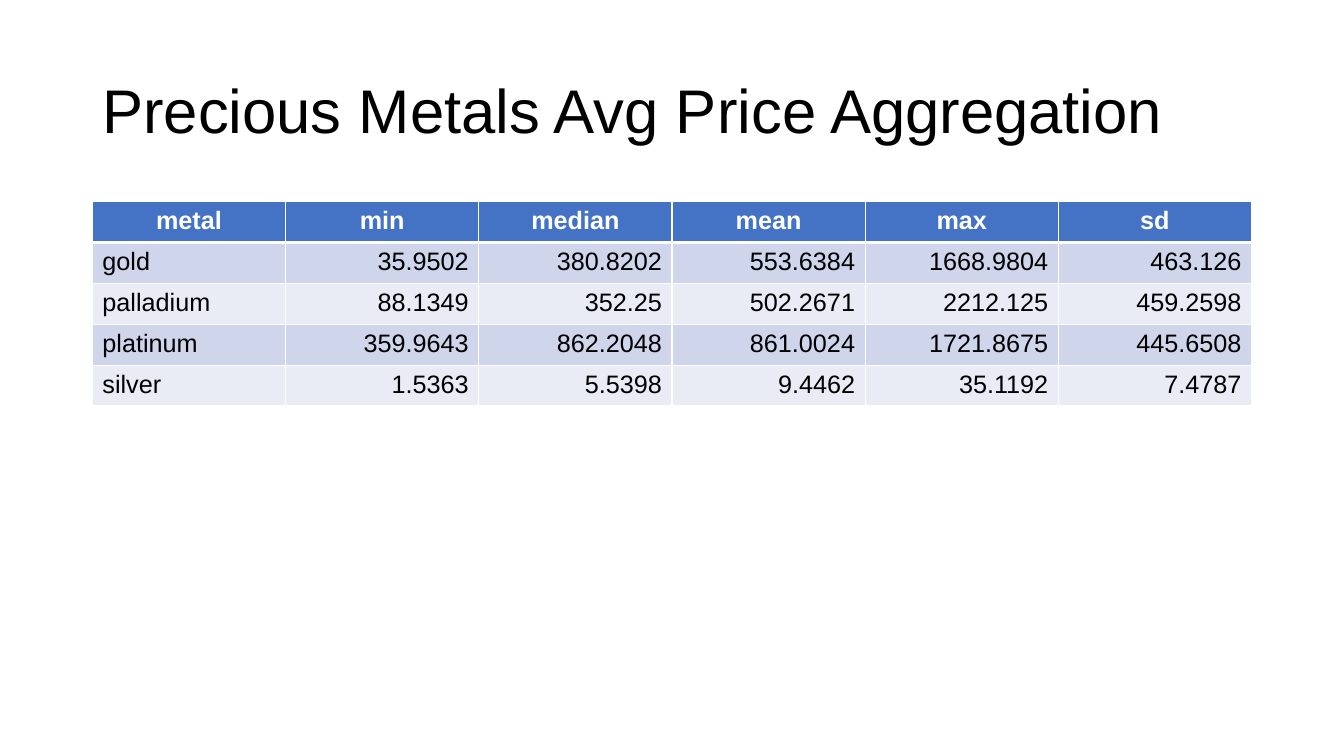
import lxml.etree
import pptx
import pptx.dml.color
import pptx.enum.text
import pptx.oxml.ns
import pptx.util

Pt = pptx.util.Pt
ALIGN = pptx.enum.text.PP_ALIGN

COLORS = {
    "text": "000000",
    "header_text": "FFFFFF",
    "header": "4472C4",
    "odd_row": "CFD5EA",
    "even_row": "E9EBF5",
    "border": "FFFFFF",
}
FONT = "Arial"
LEFT, WIDTH = 66, 828
ROW_HEIGHT = 29.2

TITLE = "Precious Metals Avg Price Aggregation"
HEADINGS = ["metal", "min", "median", "mean", "max", "sd"]
PRICES = [
    ["gold", "35.9502", "380.8202", "553.6384", "1668.9804", "463.126"],
    ["palladium", "88.1349", "352.25", "502.2671", "2212.125", "459.2598"],
    ["platinum", "359.9643", "862.2048", "861.0024", "1721.8675", "445.6508"],
    ["silver", "1.5363", "5.5398", "9.4462", "35.1192", "7.4787"],
]


def rgb(name):
    return pptx.dml.color.RGBColor.from_string(COLORS[name])


def write(frame, text, size, color, align, bold=False):
    frame.text = text
    paragraph = frame.paragraphs[0]
    paragraph.alignment = align
    font = paragraph.runs[0].font
    font.name, font.size, font.bold = FONT, Pt(size), bold
    font.color.rgb = rgb(color)


def add_title(slide):
    title = slide.shapes.add_textbox(Pt(LEFT), Pt(28.75), Pt(WIDTH), Pt(104.4))
    frame = title.text_frame
    frame.word_wrap = True
    frame.vertical_anchor = pptx.enum.text.MSO_ANCHOR.MIDDLE
    write(frame, TITLE, 44, "text", ALIGN.LEFT)
    frame.paragraphs[0].line_spacing = 0.9


def set_borders(cell, widths):
    """Draw the cell borders; widths maps L, R, T and B to points."""
    qn = pptx.oxml.ns.qn
    properties = cell._tc.get_or_add_tcPr()
    for side, width in widths.items():
        line = lxml.etree.SubElement(properties, qn(f"a:ln{side}"), w=str(Pt(width)))
        fill = lxml.etree.SubElement(line, qn("a:solidFill"))
        lxml.etree.SubElement(fill, qn("a:srgbClr"), val=COLORS["border"])


def style_cell(cell, text, row, column):
    is_header = row == 0
    # Borders come before the fill in the cell properties
    set_borders(cell, {"L": 1, "R": 1, "T": 3 if row == 1 else 1,
                       "B": 3 if is_header else 1})
    cell.fill.solid()
    if is_header:
        cell.fill.fore_color.rgb = rgb("header")
        write(cell.text_frame, text, 18, "header_text", ALIGN.CENTER, True)
    else:
        cell.fill.fore_color.rgb = rgb("odd_row" if row % 2 else "even_row")
        align = ALIGN.RIGHT if column else ALIGN.LEFT
        write(cell.text_frame, text, 18, "text", align)


def add_price_table(slide):
    rows = [HEADINGS] + PRICES
    prices = slide.shapes.add_table(
        len(rows), len(HEADINGS), Pt(LEFT), Pt(144),
        Pt(WIDTH), Pt(ROW_HEIGHT * len(rows))).table
    for row, values in enumerate(rows):
        prices.rows[row].height = Pt(ROW_HEIGHT)
        for column, value in enumerate(values):
            style_cell(prices.cell(row, column), value, row, column)


def main():
    deck = pptx.Presentation()
    deck.slide_width, deck.slide_height = Pt(960), Pt(540)
    slide = deck.slides.add_slide(deck.slide_layouts[6])
    add_title(slide)
    add_price_table(slide)
    deck.save("out.pptx")


main()
